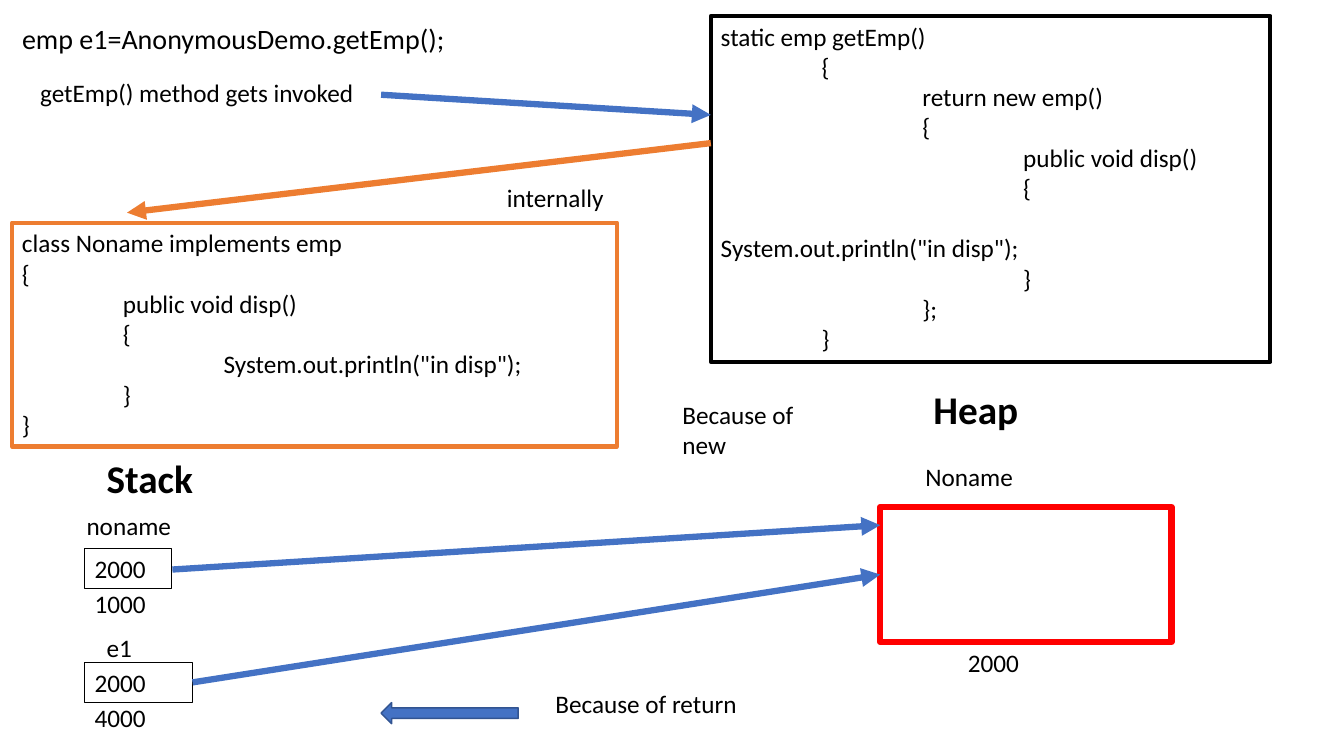
"""Build the slide tracing an anonymous class through code, stack and heap."""
from pptx import Presentation
from pptx import util as u
from pptx.dml.color import RGBColor
from pptx.enum import shapes, text
from pptx.oxml.ns import qn
from lxml import etree

PX = u.Inches(1) // 100
TAB = 100 * PX
BLACK = RGBColor(0x00, 0x00, 0x00)
BLUE = RGBColor(0x44, 0x72, 0xC4)
DARK_BLUE = RGBColor(0x32, 0x54, 0x91)
ORANGE = RGBColor(0xED, 0x7D, 0x31)
RED = RGBColor(0xFF, 0x00, 0x00)

FACTORY_CODE = """static emp getEmp()
\t{
\t\treturn new emp()
\t\t{
\t\t\tpublic void disp()
\t\t\t{
\t\t\t\tSystem.out.println("in disp");
\t\t\t}
\t\t};
\t}"""
CLASS_CODE = """class Noname implements emp
{
\tpublic void disp()
\t{
\t\tSystem.out.println("in disp");
\t}
}"""

presentation = Presentation()
presentation.slide_width = 1333 * PX
presentation.slide_height = 750 * PX
slide = presentation.slides.add_slide(presentation.slide_layouts[6])


def write(shape, wording, size=18, bold=False):
    frame = shape.text_frame
    frame.word_wrap = True
    frame.vertical_anchor = text.MSO_ANCHOR.TOP
    frame.text = wording
    for paragraph in frame.paragraphs:
        paragraph.alignment = text.PP_ALIGN.LEFT
        if "\t" in paragraph.text:
            properties = paragraph._p.get_or_add_pPr()
            tabs = etree.SubElement(properties, qn("a:tabLst"))
            for stop in range(1, 5):
                etree.SubElement(tabs, qn("a:tab"), pos=str(stop * TAB), algn="l")
        for run in paragraph.runs:
            run.font.name = "Calibri"
            run.font.size = u.Pt(size)
            run.font.bold = bold
            run.font.color.rgb = BLACK


boxes = [
    (705, 16, 555, 343, BLACK, 3, FACTORY_CODE),
    (12, 221, 600, 222, ORANGE, 3, CLASS_CODE),
    (873, 503, 289, 134, RED, 4.5, ""),
    (84, 544, 86, 40, BLACK, 0.75, "2000"),
    (84, 657, 107, 40, BLACK, 0.75, "2000"),
]
for left, top, width, height, color, weight, wording in boxes:
    box = slide.shapes.add_shape(
        shapes.MSO_SHAPE.RECTANGLE, left * PX, top * PX, width * PX, height * PX)
    box.shadow.inherit = False
    box.fill.background()
    box.line.color.rgb = color
    box.line.width = u.Pt(weight)
    write(box, wording)

labels = [
    (12, 16, 459, 44, "emp e1=AnonymousDemo.getEmp();", 20, False),
    (30, 72, 372, 40, "getEmp() method gets invoked", 18, False),
    (493, 176, 196, 40, "internally", 18, False),
    (916, 377, 205, 57, "Heap", 28, True),
    (908, 453, 213, 40, "Noname", 18, False),
    (950, 637, 129, 40, "2000", 18, False),
    (96, 446, 149, 57, "Stack", 28, True),
    (76, 501, 148, 40, "noname", 18, False),
    (84, 579, 83, 40, "1000", 18, False),
    (96, 622, 60, 40, "e1", 18, False),
    (84, 692, 102, 40, "4000", 18, False),
    (541, 678, 265, 40, "Because of return", 18, False),
    (667, 391, 130, 71, "Because of new", 18, False),
]
for left, top, width, height, wording, size, bold in labels:
    label = slide.shapes.add_textbox(left * PX, top * PX, width * PX, height * PX)
    write(label, wording, size, bold)

arrows = [
    (378, 94, 705, 114, BLUE),
    (705, 142, 126, 211, ORANGE),
    (171, 565, 873, 521, BLUE),
    (191, 677, 873, 570, BLUE),
]
for start_x, start_y, end_x, end_y, color in arrows:
    arrow = slide.shapes.add_connector(
        shapes.MSO_CONNECTOR.STRAIGHT, start_x * PX, start_y * PX, end_x * PX, end_y * PX)
    arrow.line.color.rgb = color
    arrow.line.width = u.Pt(4.5)
    properties = arrow._element.spPr
    etree.SubElement(properties.find(qn("a:ln")), qn("a:tailEnd"), type="triangle")
    etree.SubElement(properties, qn("a:effectLst"))

return_arrow = slide.shapes.add_shape(
    shapes.MSO_SHAPE.LEFT_ARROW, 378 * PX, 697 * PX, 136 * PX, 21 * PX)
return_arrow.shadow.inherit = False
return_arrow.fill.solid()
return_arrow.fill.fore_color.rgb = BLUE
return_arrow.line.color.rgb = DARK_BLUE
return_arrow.line.width = u.Pt(1)

presentation.save("out.pptx")
